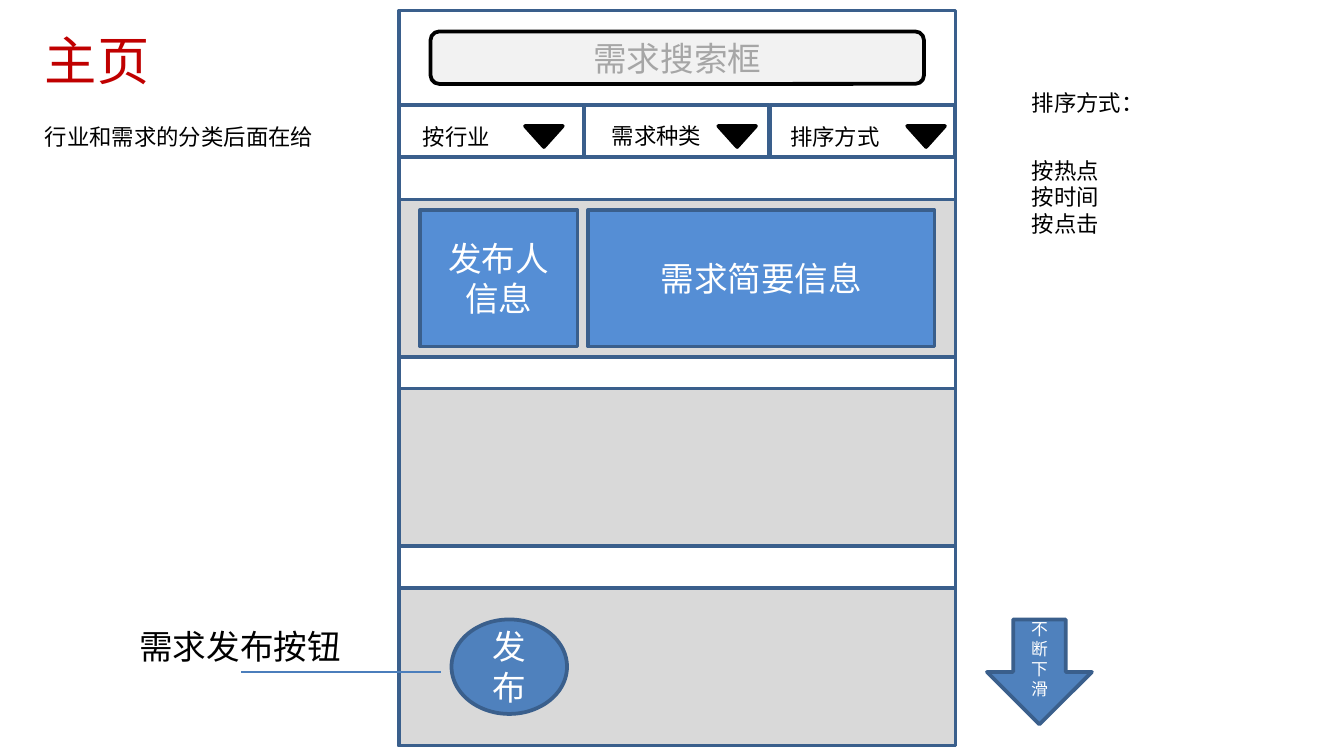
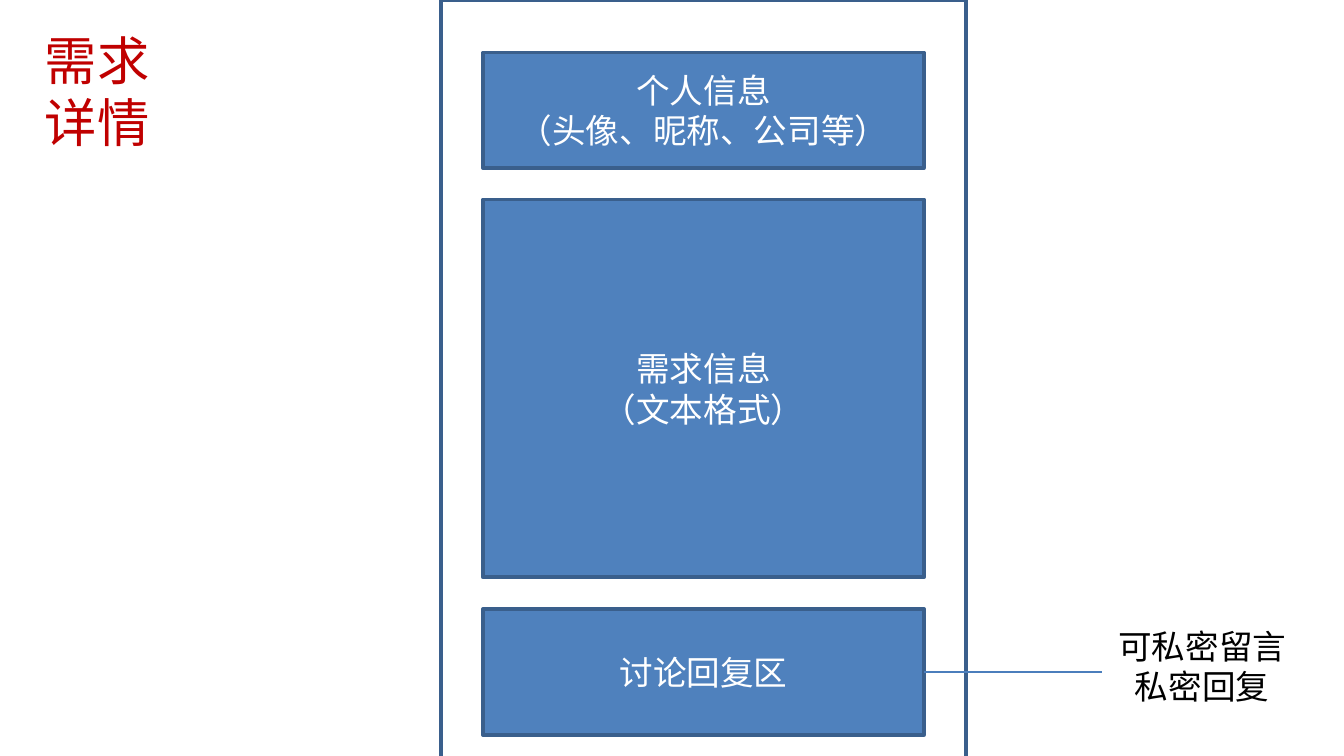
"""Build two wireframe slides: the home page and the request detail page."""
from lxml import etree
from pptx import Presentation
from pptx import util as u
from pptx.dml.color import RGBColor
from pptx.enum import lang, shapes, text
from pptx.oxml.ns import qn

PX = 914400 / 128
HUES = {
    "edge": "3A5F8C", "wire": "4B7EBC", "blue": "4F81BD", "sky": "558ED5",
    "grey": "D9D9D9", "pale": "F2F2F2", "hint": "A6A6A6",
    "black": "000000", "white": "FFFFFF", "red": "C00000",
}
KIND = shapes.MSO_SHAPE
MID = text.PP_ALIGN.CENTER
LEFT = text.PP_ALIGN.LEFT


def px(*vals):
    return [u.Emu(round(v * PX)) for v in vals]


def hue(name):
    return RGBColor.from_string(HUES[name])


class Deck:
    """Hold the shared style and the current slide."""

    def __init__(self):
        self.prs = Presentation()
        self.prs.slide_width, self.prs.slide_height = px(1280, 720)

    def page(self, title, high):
        self.slide = self.prs.slides.add_slide(self.prs.slide_layouts[5])
        head = self.slide.shapes.title
        head.left, head.top, head.width, head.height = px(30, 20, 130, high)
        self.label(head, [title], 28, "red", LEFT, "Noto Sans CJK JP")
        head.text_frame.vertical_anchor = text.MSO_ANCHOR.TOP
        head.text_frame.auto_size = text.MSO_AUTO_SIZE.SHAPE_TO_FIT_TEXT

    def label(self, shape, lines, size, color, align, face="Calibri"):
        frame = shape.text_frame
        frame.word_wrap = True
        for i, line in enumerate(lines):
            para = frame.add_paragraph() if i else frame.paragraphs[0]
            para.alignment = align
            for j, part in enumerate(line.split("\n")):
                if j:
                    para.add_line_break()
                run = para.add_run()
                run.text = part
                font = run.font
                font.name, font.size = face, u.Pt(size)
                font.color.rgb = hue(color)
                font.language_id = lang.MSO_LANGUAGE_ID.SIMPLIFIED_CHINESE

    def box(self, at, fill=None, lines=(), kind=KIND.RECTANGLE,
            edge="edge", size=18, color="white", turn=0):
        shape = self.slide.shapes.add_shape(kind, *px(*at))
        shape.shadow.inherit = False
        shape.rotation = turn
        if fill:
            shape.fill.solid()
            shape.fill.fore_color.rgb = hue(fill)
        else:
            shape.fill.background()
        shape.line.color.rgb = hue(edge)
        shape.line.width = u.Pt(2)
        shape.text_frame.vertical_anchor = text.MSO_ANCHOR.MIDDLE
        self.label(shape, lines, size, color, MID)
        return shape

    def note(self, at, *lines, size=12, align=LEFT):
        shape = self.slide.shapes.add_textbox(*px(*at))
        self.label(shape, lines, size, "black", align)
        shape.text_frame.auto_size = text.MSO_AUTO_SIZE.SHAPE_TO_FIT_TEXT

    def wire(self, start, end, root=None):
        line = self.slide.shapes.add_connector(
            shapes.MSO_CONNECTOR.STRAIGHT, *px(*start, *end))
        line.line.color.rgb = hue("wire")
        line.line.width = u.Pt(0.75)
        etree.SubElement(line._element.spPr, qn("a:effectLst"))
        if root is not None:
            line.begin_connect(root, 3)


def home(deck):
    deck.page("主页", 73)
    left, wide = 380, 530
    deck.box((left, 10, wide, 700))
    for i in range(3):
        deck.box((left + i * wide // 3, 100, wide // 3, 50))
    for top in (190, 370, 560):
        deck.box((left, top, wide, 150), "grey")
    for x in (500, 684, 864):
        deck.box((x, 120, 36, 20), "black", kind=KIND.ISOSCELES_TRIANGLE,
                 edge="black", turn=180)
    deck.box((410, 30, 470, 50), "pale", ["需求搜索框"],
             KIND.ROUNDED_RECTANGLE, "black", color="hint")
    deck.box((400, 200, 150, 130), "sky", ["发布人信息"])
    deck.box((560, 200, 330, 130), "sky", ["需求简要信息"])
    deck.note((390, 111, 100, 38), "按行业")
    deck.note((570, 110, 120, 38), "需求种类")
    deck.note((740, 111, 120, 38), "排序方式")
    deck.note((970, 79, 120, 116), "排序方式：\n按热点", "按时间", "按点击")
    deck.note((30, 111, 290, 38), "行业和需求的分类后面在给")
    deck.box((940, 590, 100, 100), "blue", ["不断下滑"],
             KIND.DOWN_ARROW, size=9)
    deck.box((430, 590, 110, 90), "blue", ["发布"], KIND.OVAL)
    deck.wire((420, 640), (230, 640))
    deck.note((120, 590, 240, 51), "需求发布按钮", size=18)


def detail(deck):
    deck.page("需求详情", 133)
    deck.box((420, 0, 500, 730), "white")
    parts = [
        (50, 110, ["个人信息", "（头像、昵称、公司等）"]),
        (190, 360, ["需求信息", "（文本格式）"]),
        (580, 120, ["讨论回复区"]),
    ]
    for top, high, lines in parts:
        last = deck.box((460, top, 420, high), "blue", lines)
    deck.wire((880, 640), (1050, 640), last)
    deck.note((1050, 590, 190, 91), "可私密留言私密回复", size=18, align=MID)


def main():
    deck = Deck()
    home(deck)
    detail(deck)
    deck.prs.save("out.pptx")


if __name__ == "__main__":
    main()
